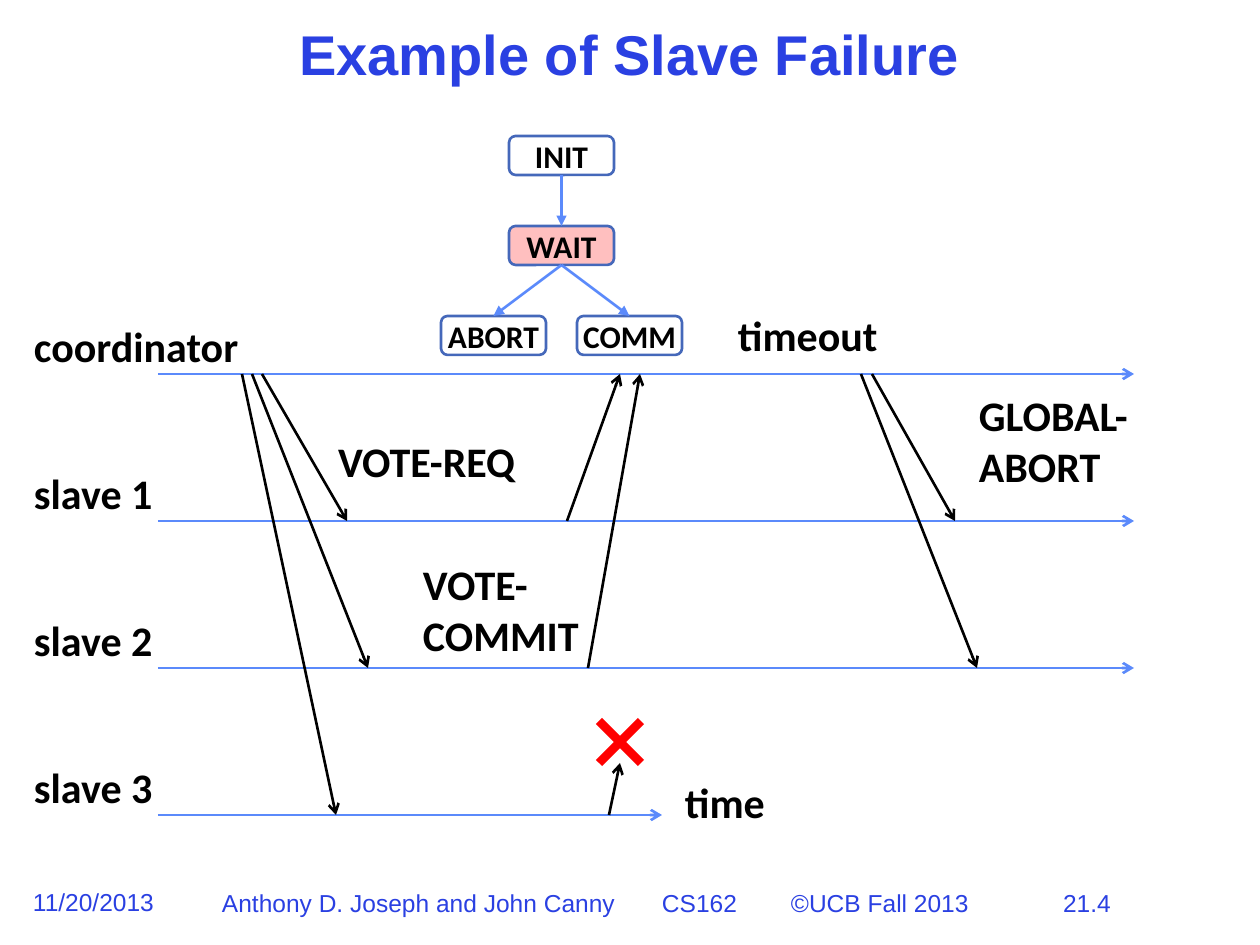
from lxml.etree import SubElement
from pptx import Presentation
from pptx.dml.color import RGBColor
from pptx.enum.shapes import MSO_CONNECTOR, MSO_SHAPE
from pptx.enum.text import MSO_ANCHOR, PP_ALIGN
from pptx.oxml.ns import qn
from pptx.util import Pt

EMU_PER_PX = 914400 / 126
COLORS = {
    "brand": "2A40E2",
    "ink": "000000",
    "timeline": "5B8AFB",
    "state_border": "4568BA",
    "failure": "FF0000",
}


def px(length):
    return round(length * EMU_PER_PX)


def color(name):
    return RGBColor.from_string(COLORS[name])


def write_text(shape, text, size=24, font="Calibri", fill="ink", bold=True,
               align=PP_ALIGN.LEFT, anchor=MSO_ANCHOR.TOP, margins=(13, 6),
               wrap=True, line_spacing=None, tabs=()):
    frame = shape.text_frame
    frame.word_wrap = wrap
    frame.vertical_anchor = anchor
    frame.margin_left = frame.margin_right = px(margins[0])
    frame.margin_top = frame.margin_bottom = px(margins[1])
    paragraph = frame.paragraphs[0]
    paragraph.alignment = align
    if line_spacing:
        paragraph.line_spacing = line_spacing
    if tabs:
        tab_list = SubElement(paragraph._p.get_or_add_pPr(), qn("a:tabLst"))
        for position in tabs:
            SubElement(tab_list, qn("a:tab"), pos=str(px(position)), algn="l")
    run = paragraph.add_run()
    run.text = text
    run.font.name = font
    run.font.size = Pt(size)
    run.font.bold = bold
    run.font.color.rgb = color(fill)


def add_label(slide, box, text, **text_format):
    shape = slide.shapes.add_textbox(*map(px, box))
    write_text(shape, text, **text_format)


def add_line(slide, start, end, line_color="ink", width=1.5, head="arrow"):
    connector = slide.shapes.add_connector(
        MSO_CONNECTOR.STRAIGHT, *map(px, (*start, *end)))
    connector.line.color.rgb = color(line_color)
    connector.line.width = Pt(width)
    if head:
        SubElement(connector.line._get_or_add_ln(), qn("a:tailEnd"), type=head)
    SubElement(connector._element.spPr, qn("a:effectLst"))
    return connector


def add_title(slide, box):
    title = slide.shapes.title
    title.left, title.top, title.width, title.height = map(px, box)
    write_text(title, "Example of Slave Failure", size=32, font="Arial",
               fill="brand", align=PP_ALIGN.CENTER, anchor=MSO_ANCHOR.MIDDLE,
               line_spacing=0.9)


def add_footer(slide, box):
    left, top, width, height = box
    footer_format = dict(size=14, font="Arial", fill="brand", bold=False, wrap=False)
    add_label(slide, (left, top - 1, 149, height), "11/20/2013", **footer_format)
    add_label(slide, (left + 189, top, 774, height),
              "Anthony D. Joseph and John Canny\tCS162\t©UCB Fall 2013",
              tabs=(440, 569), **footer_format)
    add_label(slide, (left + width - 171, top, 171, height), "21.4", **footer_format)


def add_state_machine(slide, box):
    left, top, width, height = box
    node_width, node_height = 105, 39
    column_step = (width - node_width) // 2
    row_step = (height - node_height) // 2
    states = {"INIT": (1, 0), "WAIT": (1, 1), "ABORT": (0, 2), "COMM": (2, 2)}
    nodes = {}
    for name, (column, row) in states.items():
        node = slide.shapes.add_shape(
            MSO_SHAPE.ROUNDED_RECTANGLE, px(left + column * column_step),
            px(top + row * row_step), px(node_width), px(node_height))
        node.shadow.inherit = False
        node.line.color.rgb = color("state_border")
        node.line.width = Pt(1.5)
        node.fill.background()
        write_text(node, name, size=18, align=PP_ALIGN.CENTER,
                   anchor=MSO_ANCHOR.MIDDLE, margins=(0, 0))
        nodes[name] = node

    # The current state has a transparent red fill
    current = nodes["WAIT"]
    current.fill.solid()
    current.fill.fore_color.rgb = color("failure")
    red = current._element.spPr.find(qn("a:solidFill")).find(qn("a:srgbClr"))
    SubElement(red, qn("a:alpha"), val="25000")

    for source, target in (("INIT", "WAIT"), ("WAIT", "ABORT"), ("WAIT", "COMM")):
        arrow = add_line(slide, (left, top), (left, top), "timeline", head="triangle")
        arrow.begin_connect(nodes[source], 2)
        arrow.end_connect(nodes[target], 0)


def add_timelines(slide, box):
    left, top, width, height = box
    lane_step = height // 3

    def point(x, lane):
        return left + x, top + lane * lane_step

    # Lanes: name, length, label width
    lanes = (("coordinator", width, 252), ("slave 1", width, 189),
             ("slave 2", width, 189), ("slave 3", 504, 189))
    for lane, (name, length, label_width) in enumerate(lanes):
        add_line(slide, point(0, lane), point(length, lane), "timeline")
        add_label(slide, (left - 137, top + lane * lane_step - 59, label_width, 63), name)

    # Messages: start x, start lane, end x, end lane
    messages = (
        (104, 0, 189, 1), (94, 0, 210, 2), (84, 0, 178, 3),
        (409, 1, 462, 0), (430, 2, 482, 0),
        (714, 0, 797, 1), (703, 0, 819, 2),
    )
    for start_x, start_lane, end_x, end_lane in messages:
        add_line(slide, point(start_x, start_lane), point(end_x, end_lane))

    # Message captions
    captions = (
        ("VOTE-REQ", 167, 56, 220, 63),
        ("VOTE-COMMIT", 252, 179, 231, 113),
        ("GLOBAL-ABORT", 808, 10, 252, 113),
        ("timeout", 567, -70, 252, 63),
        ("time", 514, 397, 116, 63),
    )
    for text, x, y, caption_width, caption_height in captions:
        add_label(slide, (left + x, top + y, caption_width, caption_height), text)


def add_failed_reply(slide, box):
    left, top, width, height = box
    right, cross_bottom = left + width, top + width
    add_line(slide, (left + 10, top + height), (left + width // 2, cross_bottom))
    for start_x, end_x in ((left, right), (right, left)):
        add_line(slide, (start_x, top), (end_x, cross_bottom), "failure", 5, head=None)


def main():
    presentation = Presentation()
    presentation.slide_width, presentation.slide_height = px(1260), px(945)
    slide = presentation.slides.add_slide(presentation.slide_layouts[5])
    add_title(slide, (136, 21, 987, 73))
    add_timelines(slide, (158, 374, 976, 441))
    add_failed_reply(slide, (599, 721, 42, 94))
    add_state_machine(slide, (441, 136, 241, 219))
    add_footer(slide, (20, 882, 1201, 42))
    presentation.save("out.pptx")


if __name__ == "__main__":
    main()
